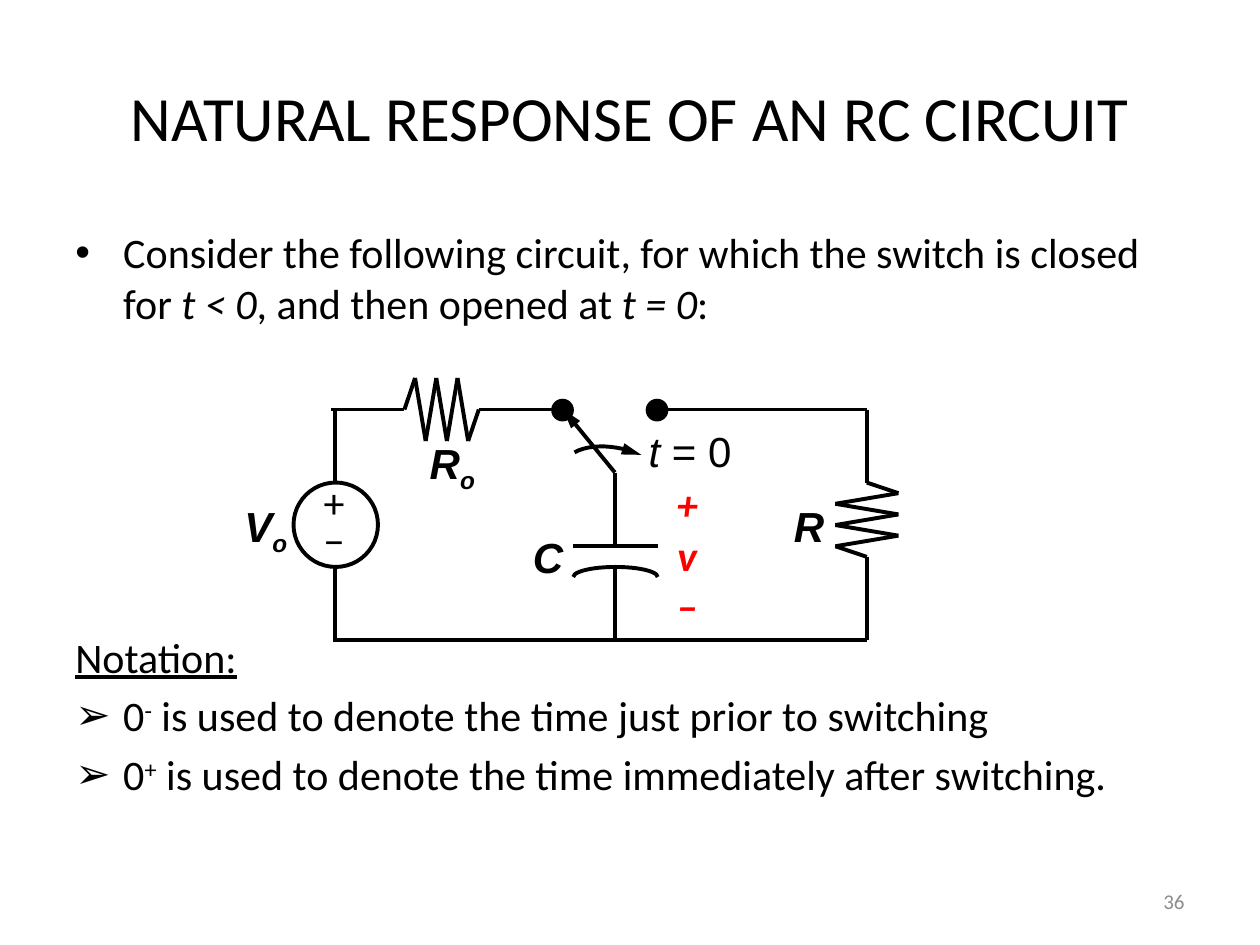
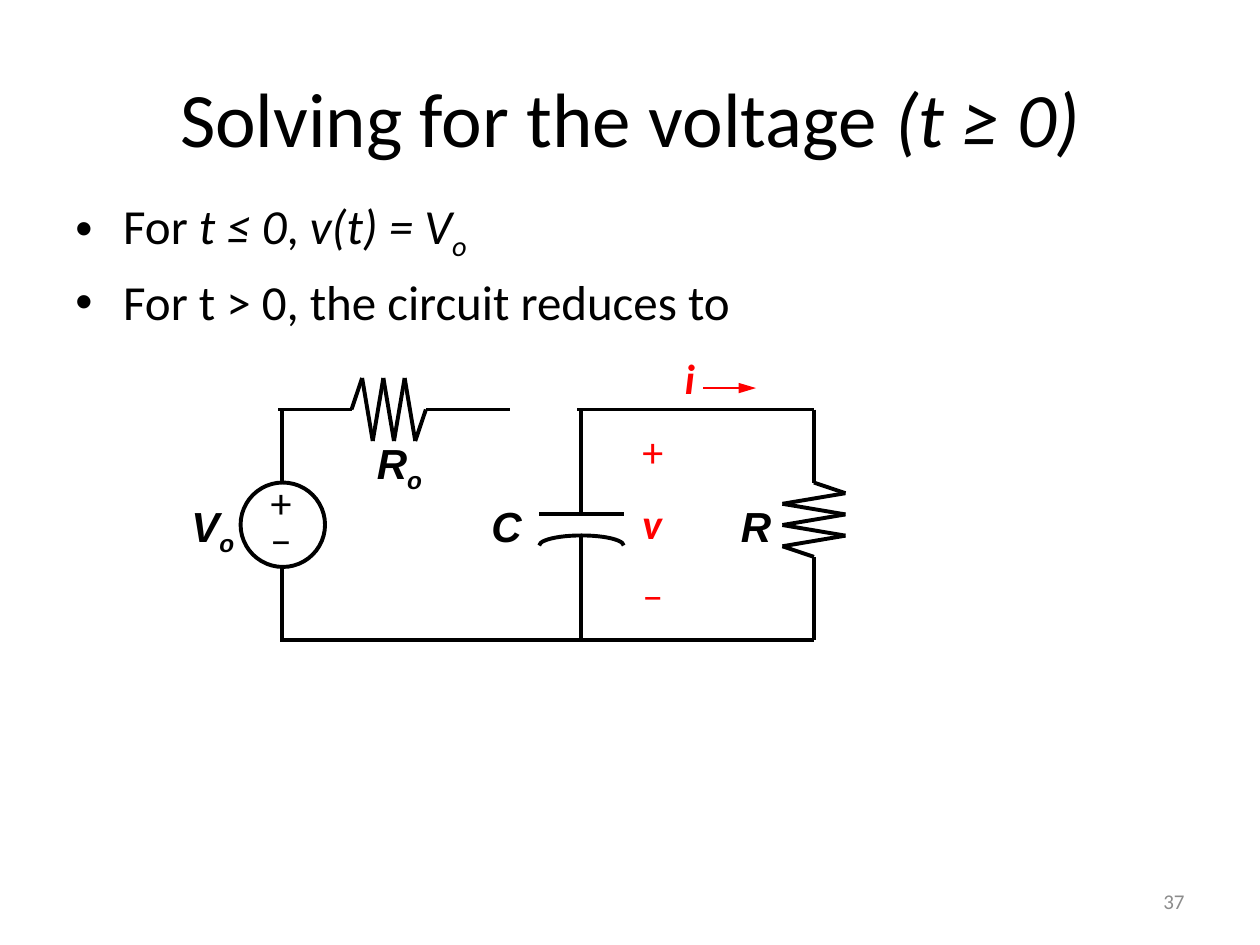
from dataclasses import dataclass
from itertools import pairwise
from typing import NamedTuple

from lxml import etree
from pptx import Presentation
from pptx.dml.color import RGBColor
from pptx.enum import shapes, text
from pptx.oxml.ns import qn
from pptx.util import Inches, Pt

BLACK, RED, GRAY = "000000", "FF0000", "8C8C8C"
BODY_FONT, LABEL_FONT = "Calibri", "Arial"
WIRE = 2.25
TOP_RAIL, BOTTOM_RAIL = 3.25, 5.08
SOURCE_X, LOAD_X = 2.66, 6.88
PART_TOP, PART_BOTTOM = 3.83, 4.42
LEFT, CENTER, RIGHT = text.PP_ALIGN.LEFT, text.PP_ALIGN.CENTER, text.PP_ALIGN.RIGHT


class Run(NamedTuple):
    text: str
    italic: bool = False
    bold: bool = False
    underline: bool = False
    baseline: int = 0


class Point(NamedTuple):
    x: float
    y: float


class Box(NamedTuple):
    left: float
    top: float
    width: float
    height: float

    def lengths(self) -> list:
        return [Inches(value) for value in self]


@dataclass
class Capacitor:
    x: float
    lead_top: float
    plate_y: float
    label_left: float


def color(value: str) -> RGBColor:
    return RGBColor.from_string(value)


def italic(words: str) -> Run:
    return Run(words, italic=True)


def strong(words: str, baseline: int = 0) -> Run:
    return Run(words, italic=True, bold=True, baseline=baseline)


def add_text(slide, box: Box, paragraphs: list[list[Run]], *, size: float,
             font: str = BODY_FONT, fill: str = BLACK, align=LEFT,
             anchor=text.MSO_ANCHOR.TOP, wrap: bool = True, bullets: str = "",
             space_before: float = 0, line_spacing: float = 1) -> None:
    """Add a text box; bullets holds one character per paragraph, a space for none."""
    frame = slide.shapes.add_textbox(*box.lengths()).text_frame
    frame.word_wrap = wrap
    frame.vertical_anchor = anchor
    if not wrap:
        frame.auto_size = text.MSO_AUTO_SIZE.SHAPE_TO_FIT_TEXT
    for index, runs in enumerate(paragraphs):
        paragraph = frame.paragraphs[0] if index == 0 else frame.add_paragraph()
        paragraph.alignment = align
        paragraph.space_before = Pt(space_before)
        paragraph.line_spacing = line_spacing
        if bullets:
            add_bullet(paragraph, bullets[index])
        for part in runs:
            run = paragraph.add_run()
            run.text = part.text
            run.font.name = font
            run.font.size = Pt(size)
            run.font.bold, run.font.italic = part.bold, part.italic
            run.font.underline = part.underline
            run.font.color.rgb = color(fill)
            if part.baseline:
                run._r.get_or_add_rPr().set("baseline", str(part.baseline * 1000))


def add_bullet(paragraph, character: str) -> None:
    properties = paragraph._p.get_or_add_pPr()
    properties.set("marL", str(Inches(0.38)))
    properties.set("indent", str(-Inches(0.38)))
    if character.strip():
        font = etree.SubElement(properties, qn("a:buFont"))
        font.set("typeface", LABEL_FONT)
        etree.SubElement(properties, qn("a:buChar")).set("char", character)
    else:
        etree.SubElement(properties, qn("a:buNone"))


def add_arrowhead(shape) -> None:
    tail = etree.SubElement(shape.line._get_or_add_ln(), qn("a:tailEnd"))
    for name, value in (("type", "triangle"), ("w", "med"), ("len", "lg")):
        tail.set(name, value)


def style_line(shape, stroke: str = BLACK, width: float = WIRE) -> None:
    shape.line.color.rgb = color(stroke)
    shape.line.width = Pt(width)


class Drawing:
    """Draws circuit parts on a slide, all moved sideways by shift inches."""

    def __init__(self, slide, shift: float) -> None:
        self.slide = slide
        self.shift = shift

    def moved(self, box: Box) -> Box:
        return box._replace(left=box.left + self.shift)

    def line(self, start: Point, end: Point, *, stroke: str = BLACK,
             width: float = WIRE, arrow: bool = False) -> None:
        connector = self.slide.shapes.add_connector(
            shapes.MSO_CONNECTOR.STRAIGHT,
            Inches(start.x + self.shift), Inches(start.y),
            Inches(end.x + self.shift), Inches(end.y))
        style_line(connector, stroke, width)
        if arrow:
            add_arrowhead(connector)
        etree.SubElement(connector._element.spPr, qn("a:effectLst"))

    def wire(self, *points: Point) -> None:
        for start, end in pairwise(points):
            self.line(start, end)

    def shape(self, kind, box: Box, *, fill: str = "", width: float = WIRE):
        shape = self.slide.shapes.add_shape(kind, *self.moved(box).lengths())
        shape.shadow.inherit = False
        if fill:
            shape.fill.solid()
            shape.fill.fore_color.rgb = color(fill)
        else:
            shape.fill.background()
        style_line(shape, width=width)
        return shape

    def curve(self, *controls: Point, steps: int = 12) -> None:
        """Draw a cubic Bezier curve that ends in an arrowhead."""
        points = []
        for step in range(steps + 1):
            t = step / steps
            weights = ((1 - t) ** 3, 3 * t * (1 - t) ** 2, 3 * t * t * (1 - t), t ** 3)
            x = sum(w * point.x for w, point in zip(weights, controls))
            y = sum(w * point.y for w, point in zip(weights, controls))
            points.append((Inches(x + self.shift), Inches(y)))
        builder = self.slide.shapes.build_freeform(*points[0])
        builder.add_line_segments(points[1:], close=False)
        shape = builder.convert_to_shape()
        shape.shadow.inherit = False
        shape.fill.background()
        style_line(shape)
        add_arrowhead(shape)

    def label(self, box: Box, *paragraphs: list[Run], font: str = LABEL_FONT,
              align=CENTER, **formats) -> None:
        add_text(self.slide, self.moved(box), list(paragraphs), size=24, font=font,
                 align=align, wrap=False, **formats)

    def resistor(self, start: Point, end: Point) -> None:
        """Draw a zigzag between two points on one horizontal or vertical line."""
        swings = (0, -1, 1, -1, 1, -1, 1, 0)
        points = []
        for index, swing in enumerate(swings):
            part = index / (len(swings) - 1)
            x = start.x + (end.x - start.x) * part
            y = start.y + (end.y - start.y) * part
            if start.y == end.y:
                y += swing * 0.25
            else:
                x -= swing * 0.25
            points.append(Point(x, y))
        self.wire(*points)

    def capacitor(self, part: Capacitor) -> None:
        plate_left, gap = part.x - 0.33, 0.17
        self.wire(Point(part.x, part.lead_top), Point(part.x, part.plate_y))
        self.wire(Point(plate_left, part.plate_y), Point(plate_left + 0.67, part.plate_y))
        arc = self.shape(shapes.MSO_SHAPE.ARC,
                         Box(plate_left, part.plate_y + gap, 0.67, 0.16))
        arc.adjustments[0], arc.adjustments[1] = 108, 0
        self.wire(Point(part.x, part.plate_y + gap), Point(part.x, BOTTOM_RAIL))
        self.label(Box(part.label_left, part.plate_y - 0.16, 0.44, 0.5), [strong("C")])

    def source(self) -> None:
        self.shape(shapes.MSO_SHAPE.OVAL, Box(SOURCE_X - 0.33, PART_TOP, 0.67, 0.67))
        self.wire(Point(SOURCE_X, BOTTOM_RAIL), Point(SOURCE_X, PART_TOP + 0.67))
        self.wire(Point(SOURCE_X, PART_TOP), Point(SOURCE_X, TOP_RAIL))
        self.label(Box(2.47, PART_TOP, 0.39, 0.7), [Run("+")], [Run("−")],
                   font=BODY_FONT, align=LEFT, line_spacing=0.75)
        self.label(Box(1.83, 3.92, 0.56, 0.5), [strong("V"), strong("o", -25)])

    def circuit(self, capacitor: Capacitor, right_wire_start: float) -> None:
        zigzag_start, zigzag_end = Point(3.21, TOP_RAIL), Point(3.8, TOP_RAIL)
        load_top, load_bottom = Point(LOAD_X, PART_TOP), Point(LOAD_X, PART_BOTTOM)
        self.source()
        self.wire(Point(2.63, TOP_RAIL), zigzag_start)
        self.resistor(zigzag_start, zigzag_end)
        self.wire(zigzag_end, Point(4.47, TOP_RAIL))
        self.label(Box(3.3, 3.42, 0.58, 0.5), [strong("R"), strong("o", -25)])
        self.wire(Point(right_wire_start, TOP_RAIL), Point(LOAD_X, TOP_RAIL), load_top)
        self.resistor(load_top, load_bottom)
        self.wire(load_bottom, Point(LOAD_X, BOTTOM_RAIL), Point(2.64, BOTTOM_RAIL))
        self.label(Box(6.2, 3.92, 0.44, 0.5), [strong("R")])
        self.capacitor(capacitor)

    def switch(self, pivot: Point) -> None:
        self.line(pivot, Point(4.47, TOP_RAIL), arrow=True)
        self.curve(Point(4.56, 3.59), Point(4.69, 3.52), Point(4.9, 3.53), Point(5.09, 3.61))
        self.label(Box(5.05, 3.33, 0.86, 0.5), [italic("t "), Run("= 0")], align=LEFT)
        for left in (4.38, 5.13):
            self.shape(shapes.MSO_SHAPE.OVAL, Box(left, 3.17, 0.17, 0.17),
                       fill=BLACK, width=0.75)


def add_slide(presentation, title: list[Run], title_size: float, number: int):
    slide = presentation.slides.add_slide(presentation.slide_layouts[6])
    middle = text.MSO_ANCHOR.MIDDLE
    add_text(slide, Box(0.5, 0.3, 9, 1.25), [title], size=title_size,
             align=CENTER, anchor=middle)
    add_text(slide, Box(7.17, 6.95, 2.33, 0.4), [[Run(str(number))]], size=12,
             fill=GRAY, align=RIGHT, anchor=middle)
    return slide


def add_body(slide, box: Box, paragraphs: list[list[Run]], bullets: str, size: float) -> None:
    add_text(slide, box, paragraphs, size=size, bullets=bullets, space_before=0.2 * size)


def add_natural_response(presentation) -> None:
    slide = add_slide(presentation, [Run("NATURAL RESPONSE OF AN RC CIRCUIT")], 36, 36)
    add_body(slide, Box(0.5, 1.75, 9, 1), [
        [Run("Consider the following circuit, for which the switch is closed for "),
         italic("t < 0"), Run(", and then opened at "), italic("t = 0"), Run(":")],
    ], "•", 24)
    add_body(slide, Box(0.5, 4.96, 9, 1.5), [
        [Run("Notation:", underline=True)],
        [Run("0"), Run("-", baseline=30),
         Run(" is used to denote the time just prior to switching")],
        [Run("0"), Run("+", baseline=30),
         Run(" is used to denote the time immediately after switching.")],
    ], " ➢➢", 24)
    drawing = Drawing(slide, shift=0)
    pivot = Point(4.88, 3.75)
    drawing.circuit(Capacitor(pivot.x, pivot.y, 4.33, label_left=4.13), 5.22)
    drawing.switch(pivot)
    drawing.label(Box(5.26, 3.75, 0.39, 1.3), [strong("+")], [strong("v")], [strong("–")],
                  font=BODY_FONT, fill=RED)


def add_voltage_solution(presentation) -> None:
    title = [Run("Solving for the voltage "), italic("(t ≥ 0)")]
    slide = add_slide(presentation, title, 44, 37)
    add_body(slide, Box(0.5, 1.5, 9, 5.2), [
        [Run("For "), italic("t ≤ 0"), Run(", "), italic("v(t) = V"),
         Run("o", italic=True, baseline=-25)],
        [Run("For t > 0, the circuit reduces to")],
    ], "••", 28)
    drawing = Drawing(slide, shift=-0.42)
    drawing.circuit(Capacitor(5.03, TOP_RAIL, 4.08, label_left=4.22), 5)
    drawing.label(Box(5.42, 3.33, 0.39, 1.7), [Run("+")], [strong("v")], [Run("–")],
                  font=BODY_FONT, fill=RED, align=LEFT, space_before=12)
    drawing.label(Box(5.75, 2.75, 0.29, 0.5), [strong("i")], font=BODY_FONT, fill=RED)
    drawing.line(Point(6, 3.08), Point(6.42, 3.08), stroke=RED, width=0.75, arrow=True)


def main() -> None:
    presentation = Presentation()
    presentation.slide_width, presentation.slide_height = Inches(10), Inches(7.5)
    add_natural_response(presentation)
    add_voltage_solution(presentation)
    presentation.save("out.pptx")


if __name__ == "__main__":
    main()
